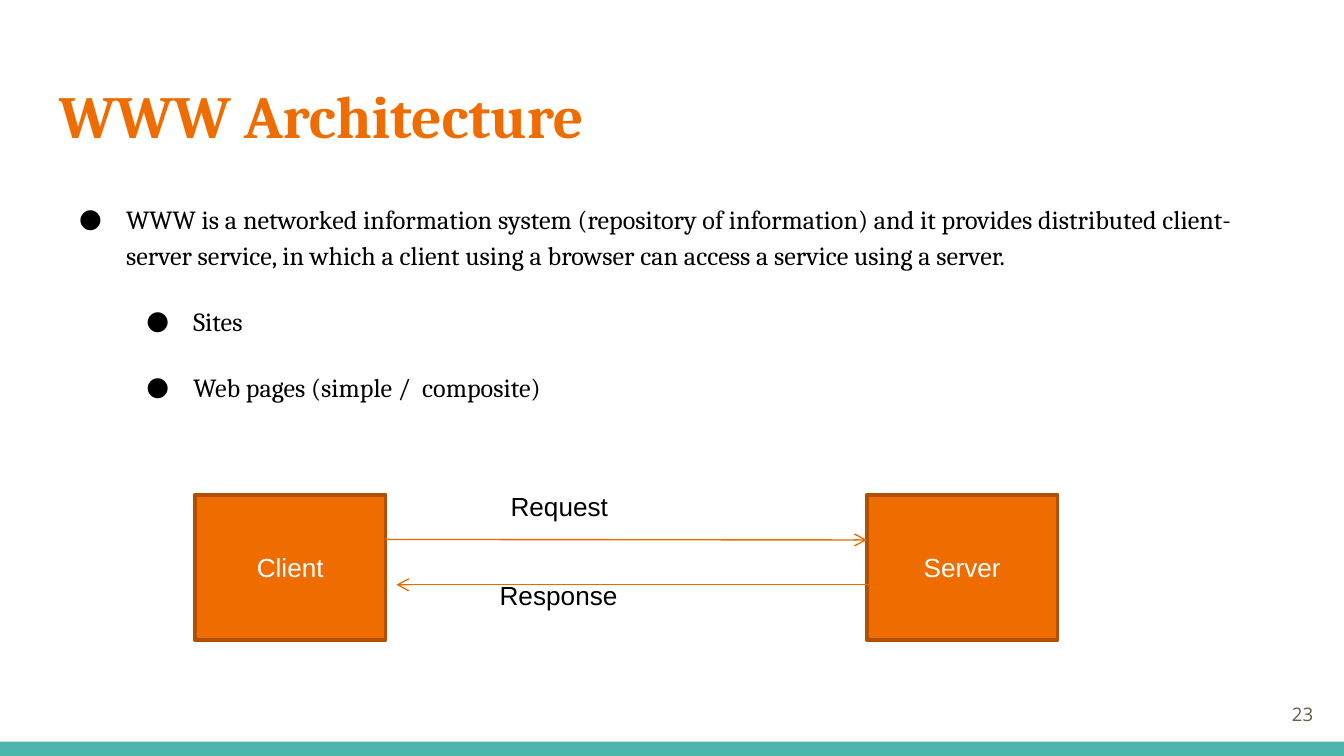
from lxml import etree
from pptx import Presentation
from pptx.dml.color import RGBColor
from pptx.enum import shapes, text
from pptx.oxml import ns
from pptx.util import Pt

TITLE = "WWW Architecture"
BULLETS = [
    (0, "WWW is a networked information system (repository of information) and it "
        "provides distributed client-server service, in which a client using a "
        "browser can access a service using a server."),
    (1, "Sites"),
    (1, "Web pages (simple /  composite)"),
]
PAGE_NUMBER = "23"
NODES = ["Client", "Server"]
LABELS = [("Request", 266.4, 259.2, 120), ("Response", 260.6, 306.7, 102)]
ARROWS = [((206.6, 289), (464.4, 289.3)), ((470.9, 313.3), (212.4, 313.3))]


class Theme:
    serif, sans, number = "Cambria", "Arial", "Open Sans"
    orange, edge, arrow = "EF6C00", "B15000", "EA6A00"
    teal, brown, black, white = "4DB6AC", "695D46", "000000", "FFFFFF"
    title_size, body_size, number_size = 32, 14, 10


WIDTH, HEIGHT = 720, 405
MARGIN = 24.5
NODE_LEFT, NODE_TOP, NODE_WIDTH, NODE_HEIGHT, NODE_STEP = 104.4, 265, 102.2, 77.8, 360
INDENT, HANGING = 36, 25.2


def color(value):
    return RGBColor.from_string(value)


def write(box, lines, *, font=Theme.sans, size=Theme.body_size, ink=Theme.black,
          bold=False, align=text.PP_ALIGN.LEFT, anchor=text.MSO_ANCHOR.TOP,
          inset=(7.2, 3.6)):
    frame = box.text_frame
    frame.word_wrap = True
    frame.vertical_anchor = anchor
    frame.margin_left = frame.margin_right = Pt(inset[0])
    frame.margin_top = frame.margin_bottom = Pt(inset[1])
    for index, line in enumerate(lines):
        para = frame.add_paragraph() if index else frame.paragraphs[0]
        para.alignment = align
        span = para.add_run()
        span.text = line
        span.font.name, span.font.size, span.font.bold = font, Pt(size), bold
        span.font.color.rgb = color(ink)
    return frame.paragraphs


def add_box(page, left, top, width, height):
    return page.shapes.add_textbox(Pt(left), Pt(top), Pt(width), Pt(height))


def add_rectangle(page, left, top, width, height, fill, edge=None):
    box = page.shapes.add_shape(shapes.MSO_SHAPE.RECTANGLE,
                                Pt(left), Pt(top), Pt(width), Pt(height))
    box.shadow.inherit = False
    box.fill.solid()
    box.fill.fore_color.rgb = color(fill)
    if edge:
        box.line.color.rgb = color(edge)
        box.line.width = Pt(2)
    else:
        box.line.fill.background()
    return box


def set_bullet(para, level):
    para.level = level
    para.line_spacing = 1.15
    para.space_before = Pt(16 * level)
    props = para._p.get_or_add_pPr()
    props.set("marL", str(Pt(INDENT * (level + 1))))
    props.set("indent", str(-Pt(HANGING)))
    tint = etree.SubElement(props, ns.qn("a:buClr"))
    etree.SubElement(tint, ns.qn("a:srgbClr"), val=Theme.black)
    etree.SubElement(props, ns.qn("a:buFont"), typeface=Theme.serif)
    etree.SubElement(props, ns.qn("a:buChar"), char="●")


def add_arrow(page, start, end):
    arrow = page.shapes.add_connector(shapes.MSO_CONNECTOR.STRAIGHT,
                                      *map(Pt, start + end))
    arrow.line.color.rgb = color(Theme.arrow)
    arrow.line.width = Pt(0.75)
    etree.SubElement(arrow.line._get_or_add_ln(), ns.qn("a:tailEnd"), type="arrow")
    etree.SubElement(arrow._element.spPr, ns.qn("a:effectLst"))


def main():
    deck = Presentation()
    deck.slide_width, deck.slide_height = Pt(WIDTH), Pt(HEIGHT)
    page = deck.slides.add_slide(deck.slide_layouts[6])
    add_rectangle(page, 0, 397.4, WIDTH, HEIGHT - 397.4, Theme.teal)

    content_width = WIDTH - 2 * MARGIN
    write(add_box(page, MARGIN, 35.3, content_width, 55.4), [TITLE], font=Theme.serif,
          size=Theme.title_size, ink=Theme.orange, bold=True, inset=(7.2, 7.2))
    paras = write(add_box(page, MARGIN, 99.4, content_width, 260),
                  [line for _, line in BULLETS], font=Theme.serif, inset=(7.2, 7.2))
    for para, (level, _) in zip(paras, BULLETS):
        set_bullet(para, level)
    write(add_box(page, 667.4, 367.2, 43.2, 31), [PAGE_NUMBER], font=Theme.number,
          size=Theme.number_size, ink=Theme.brown, align=text.PP_ALIGN.RIGHT,
          anchor=text.MSO_ANCHOR.MIDDLE, inset=(7.2, 7.2))

    for index, name in enumerate(NODES):
        node = add_rectangle(page, NODE_LEFT + index * NODE_STEP, NODE_TOP,
                             NODE_WIDTH, NODE_HEIGHT, Theme.orange, Theme.edge)
        write(node, [name], ink=Theme.white, align=text.PP_ALIGN.CENTER,
              anchor=text.MSO_ANCHOR.MIDDLE)
    for label, left, top, width in LABELS:
        write(add_box(page, left, top, width, 28.8), [label])
    for start, end in ARROWS:
        add_arrow(page, start, end)

    deck.save("out.pptx")


if __name__ == "__main__":
    main()
